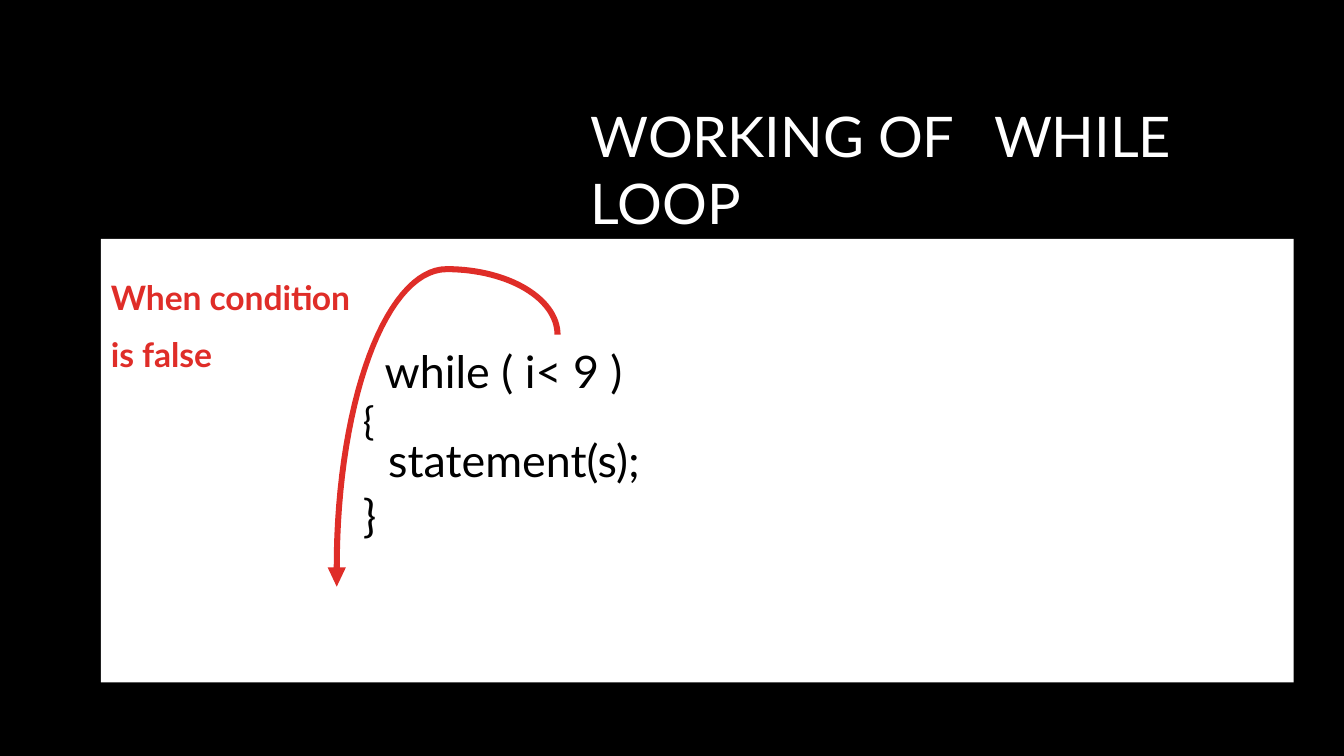
from math import cos, pi, sin

from lxml.etree import SubElement
from pptx import Presentation
from pptx.dml.color import RGBColor
from pptx.enum.shapes import MSO_SHAPE
from pptx.enum.text import MSO_ANCHOR, MSO_AUTO_SIZE, PP_ALIGN
from pptx.oxml.ns import qn
from pptx.util import Inches, Pt

COLORS = {"black": "000000", "white": "FFFFFF", "red": "DF2D28"}
FONT = "Lato"


def rgb(name):
    return RGBColor.from_string(COLORS[name])


def setup_frame(tf):
    tf.margin_left = tf.margin_right = tf.margin_bottom = 0
    tf.margin_top = Inches(0.01)
    tf.word_wrap = True
    tf.vertical_anchor = MSO_ANCHOR.TOP
    tf.auto_size = MSO_AUTO_SIZE.SHAPE_TO_FIT_TEXT


def setup_paragraph(p, indent, space=0):
    p.alignment = PP_ALIGN.LEFT
    p.space_before = Pt(space)
    pPr = p._p.get_or_add_pPr()
    pPr.set("marL", str(Inches(indent)))
    pPr.set("indent", "0")


def style_run(r, size, color, bold=False, spacing=0, baseline=0):
    r.font.name = FONT
    r.font.size = Pt(size)
    r.font.bold = bold
    r.font.color.rgb = rgb(color)
    rPr = r._r.get_or_add_rPr()
    if spacing:
        rPr.set("spc", str(spacing))
    if baseline:
        rPr.set("baseline", str(baseline))


def add_title(s, text, box, tab):
    sp = s.shapes.title
    sp.left, sp.top, sp.width, sp.height = map(Inches, box)
    tf = sp.text_frame
    setup_frame(tf)
    tf.text = text
    p = tf.paragraphs[0]
    setup_paragraph(p, 0.01)
    tabs = SubElement(p._p.get_or_add_pPr(), qn("a:tabLst"))
    SubElement(tabs, qn("a:tab"), pos=str(Inches(tab)), algn="l")
    style_run(p.runs[0], 40, "white", spacing=-5)


def add_text(s, box, paragraphs):
    """Add a box of (indent, space before, runs) paragraphs."""
    tf = s.shapes.add_textbox(*map(Inches, box)).text_frame
    setup_frame(tf)
    for i, (indent, space, runs) in enumerate(paragraphs):
        p = tf.add_paragraph() if i else tf.paragraphs[0]
        setup_paragraph(p, indent, space)
        for text, style in runs:
            r = p.add_run()
            r.text = text
            style_run(r, **style)


def fill_plain(sp, color):
    sp.shadow.inherit = False
    sp.fill.solid()
    sp.fill.fore_color.rgb = rgb(color)
    sp.line.fill.background()


def add_panel(s, box):
    sp = s.shapes.add_shape(MSO_SHAPE.RECTANGLE, *map(Inches, box))
    fill_plain(sp, "white")


def quarter_arc(cx, cy, rx, ry, start, steps=30):
    angles = [start - pi / 2 * i / steps for i in range(steps + 1)]
    return [(cx + rx * cos(a), cy - ry * sin(a)) for a in angles]


def add_exit_arrow(s, peak_x, left_y, right_y, top_y, left_x, right_x):
    """Draw a bent band from the condition over the loop to below it."""
    half = 0.03

    def edge(offset):
        left = quarter_arc(peak_x, left_y, peak_x - left_x + offset,
                           left_y - top_y + offset, pi)
        right = quarter_arc(peak_x, right_y, right_x - peak_x + offset,
                            right_y - top_y + offset, pi / 2)
        return left + right[1:]

    head = [(left_x + 0.09, left_y), (left_x, left_y + 0.19), (left_x - 0.09, left_y)]
    outline = edge(half) + edge(-half)[::-1] + head
    points = [(Inches(x), Inches(y)) for x, y in outline]
    fb = s.shapes.build_freeform(*points[0])
    fb.add_line_segments(points[1:], close=True)
    fill_plain(fb.convert_to_shape(), "red")


def main():
    prs = Presentation()
    prs.slide_width, prs.slide_height = Inches(13.33), Inches(7.5)
    s = prs.slides.add_slide(prs.slide_layouts[5])
    s.background.fill.solid()
    s.background.fill.fore_color.rgb = rgb("black")

    add_title(s, "WORKING OF\tWHILE LOOP", (5.85, 1, 6.72, 0.69), 3.54)
    add_panel(s, (1, 2.37, 11.83, 4.4))

    label = {"size": 24, "color": "red", "bold": True, "spacing": -5}
    add_text(s, (1.09, 2.74, 2.54, 0.43), [(0.01, 0, [("When condition", label)])])
    add_text(s, (1.09, 3.3, 1.09, 0.43), [(0.01, 0, [("is false", label)])])

    code = {"size": 32, "color": "black"}
    brace = {"size": 48, "color": "black", "baseline": -69000}
    add_text(s, (3.56, 3.18, 2.82, 0.56),
             [(0.04, 0, [("{ ", brace), ("while ( i< 9 )", code)])])
    add_text(s, (3.59, 4.28, 2.79, 1.11),
             [(0.26, 0, [("statement(s);", code)]), (0.01, 1.2, [("}", code)])])

    add_exit_arrow(s, peak_x=4.43, left_y=5.63, right_y=3.32, top_y=2.67,
                   left_x=3.34, right_x=5.53)
    prs.save("out.pptx")


if __name__ == "__main__":
    main()
